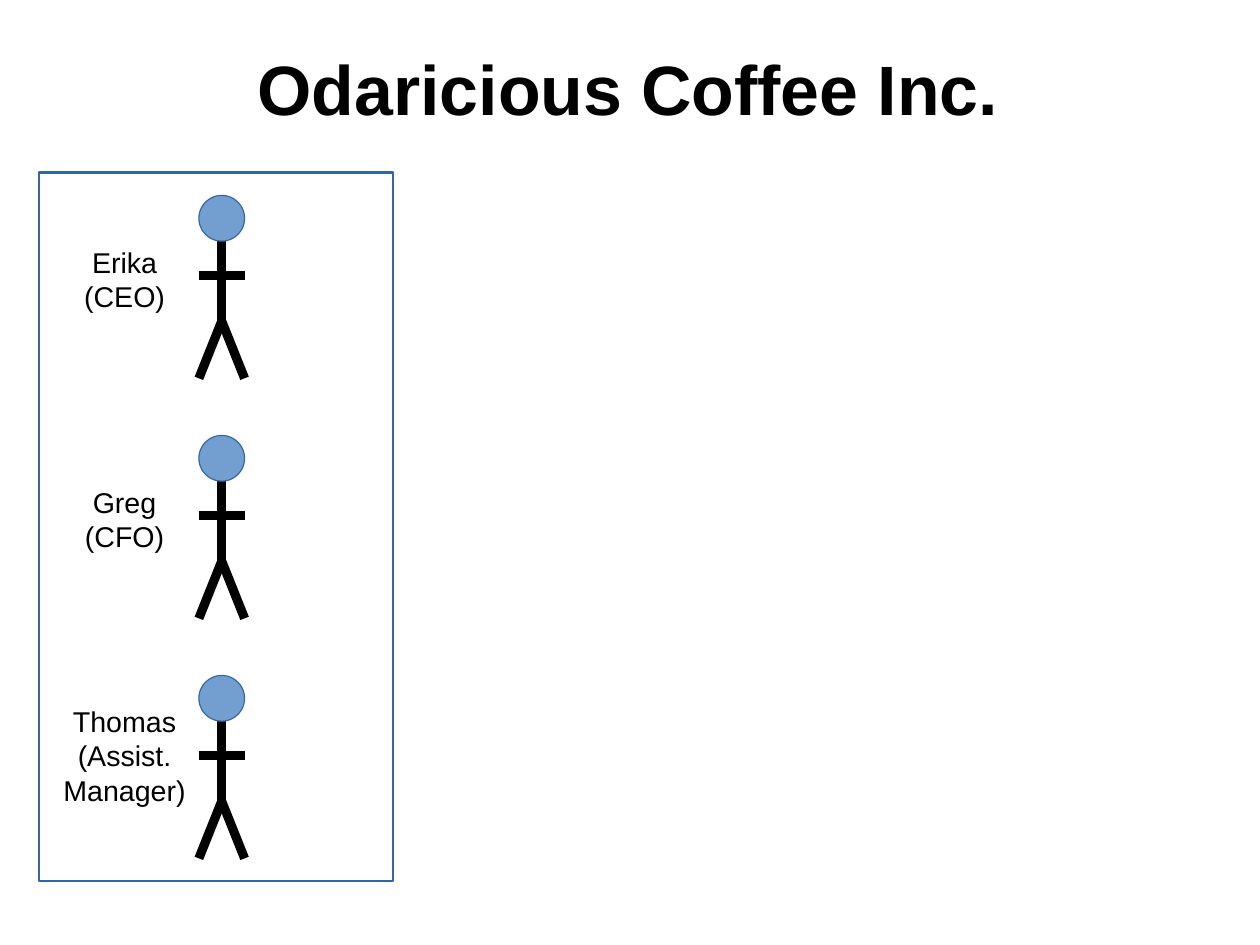
from pptx import Presentation
from pptx.dml.color import RGBColor
from pptx.enum.shapes import MSO_CONNECTOR, MSO_SHAPE
from pptx.enum.text import MSO_ANCHOR, MSO_AUTO_SIZE, PP_ALIGN
from pptx.oxml.ns import qn
from pptx.util import Cm, Emu, Pt
from lxml.etree import SubElement

TITLE = "Odaricious Coffee Inc."
TITLE_BOX = (30, 14, 1040, 126)
STAFF_FRAME = (34, 151, 310, 620)
STAFF = [
    {"lines": ("Erika", "(CEO)"), "label_top": 211, "label_size": (110, 66)},
    {"lines": ("Greg", "(CFO)"), "label_top": 421, "label_size": (110, 66)},
    {"lines": ("Thomas", "(Assist. Manager)"), "label_top": 614, "label_size": (130, 94)},
]
LIMBS = [
    ((0, 30), (0, 110)),
    ((0, 110), (-20, 160)),
    ((0, 110), (20, 160)),
    ((-20, 70), (20, 70)),
]
HEAD_SIZE = 40
FIGURE_CENTER = 194
LABEL_CENTER = 109
FIRST_FIGURE_TOP = 171
FIGURE_STEP = 210

BLACK = RGBColor(0x00, 0x00, 0x00)
HEAD_BLUE = RGBColor(0x72, 0x9F, 0xCF)
OUTLINE_BLUE = RGBColor(0x34, 0x65, 0xA4)
EMU_PER_PX = 9144


def px(*lengths):
    return [Emu(length * EMU_PER_PX) for length in lengths]


def add_outlined(slide, kind, box, line_width, fill=None):
    shape = slide.shapes.add_shape(kind, *px(*box))
    shape.shadow.inherit = False
    if fill is None:
        shape.fill.background()
    else:
        shape.fill.solid()
        shape.fill.fore_color.rgb = fill
    shape.line.color.rgb = OUTLINE_BLUE
    shape.line.width = Pt(line_width)


def add_text(slide, box, lines, size, bold=False):
    frame = slide.shapes.add_textbox(*px(*box)).text_frame
    frame.word_wrap = True
    frame.auto_size = MSO_AUTO_SIZE.SHAPE_TO_FIT_TEXT
    frame.vertical_anchor = MSO_ANCHOR.MIDDLE
    frame.text = "\n".join(lines)
    for paragraph in frame.paragraphs:
        paragraph.alignment = PP_ALIGN.CENTER
        paragraph.font.name = "Arial"
        paragraph.font.size = Pt(size)
        paragraph.font.bold = bold
        paragraph.font.color.rgb = BLACK


def add_figure(slide, top):
    for (x1, y1), (x2, y2) in LIMBS:
        limb = slide.shapes.add_connector(
            MSO_CONNECTOR.STRAIGHT,
            *px(FIGURE_CENTER + x1, top + y1, FIGURE_CENTER + x2, top + y2),
        )
        limb.line.color.rgb = BLACK
        limb.line.width = Pt(5.75)
        SubElement(limb._element.spPr, qn("a:effectLst"))
    head_box = (FIGURE_CENTER - HEAD_SIZE // 2, top, HEAD_SIZE, HEAD_SIZE)
    add_outlined(slide, MSO_SHAPE.OVAL, head_box, 0, HEAD_BLUE)


def main():
    presentation = Presentation()
    presentation.slide_width, presentation.slide_height = Cm(28), Cm(21)
    slide = presentation.slides.add_slide(presentation.slide_layouts[6])

    add_outlined(slide, MSO_SHAPE.RECTANGLE, STAFF_FRAME, 1.45)
    add_text(slide, TITLE_BOX, [TITLE], 44, bold=True)
    for index, person in enumerate(STAFF):
        width, height = person["label_size"]
        label_box = (LABEL_CENTER - width // 2, person["label_top"], width, height)
        add_text(slide, label_box, person["lines"], 18)
        add_figure(slide, FIRST_FIGURE_TOP + index * FIGURE_STEP)

    presentation.save("out.pptx")


if __name__ == "__main__":
    main()
